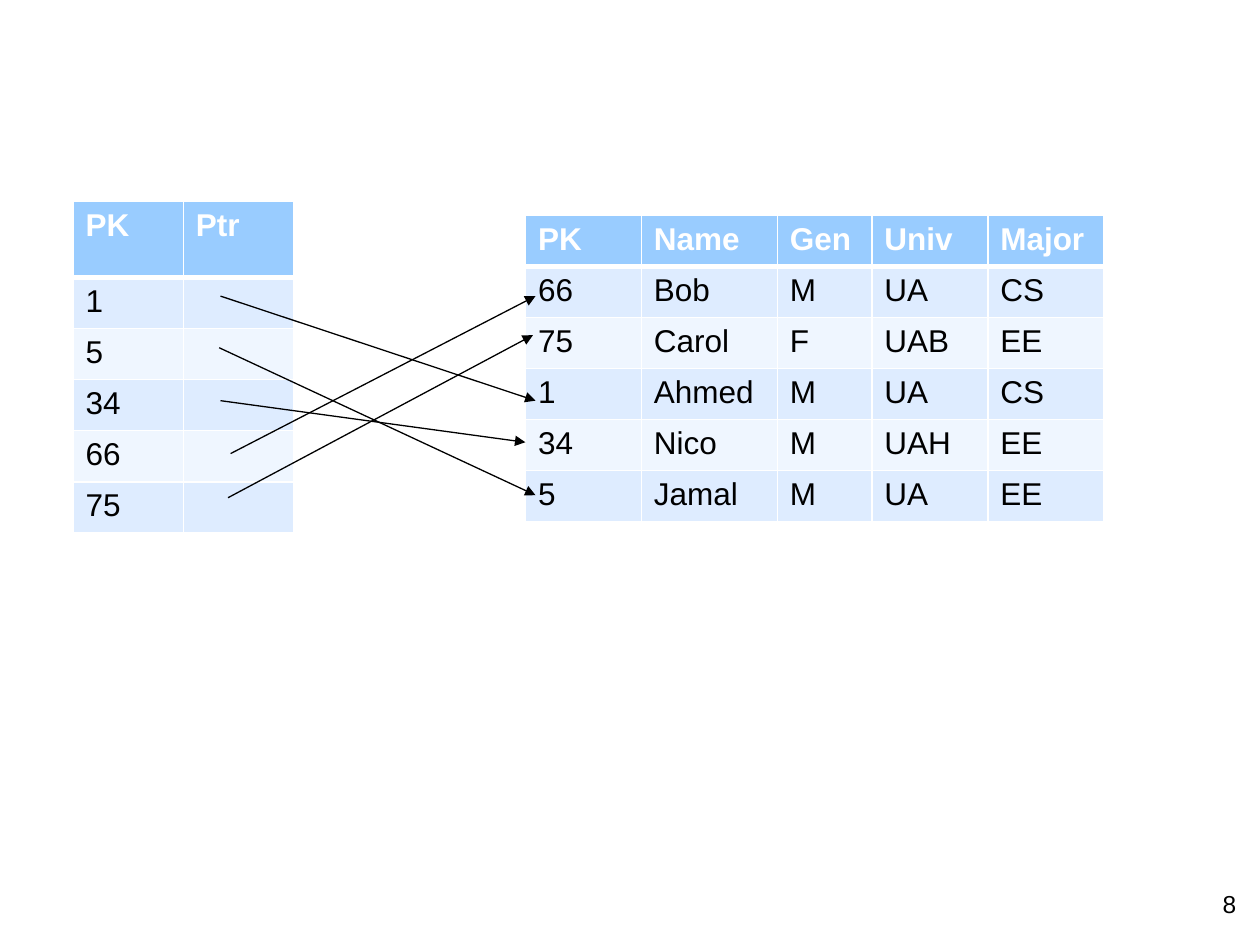
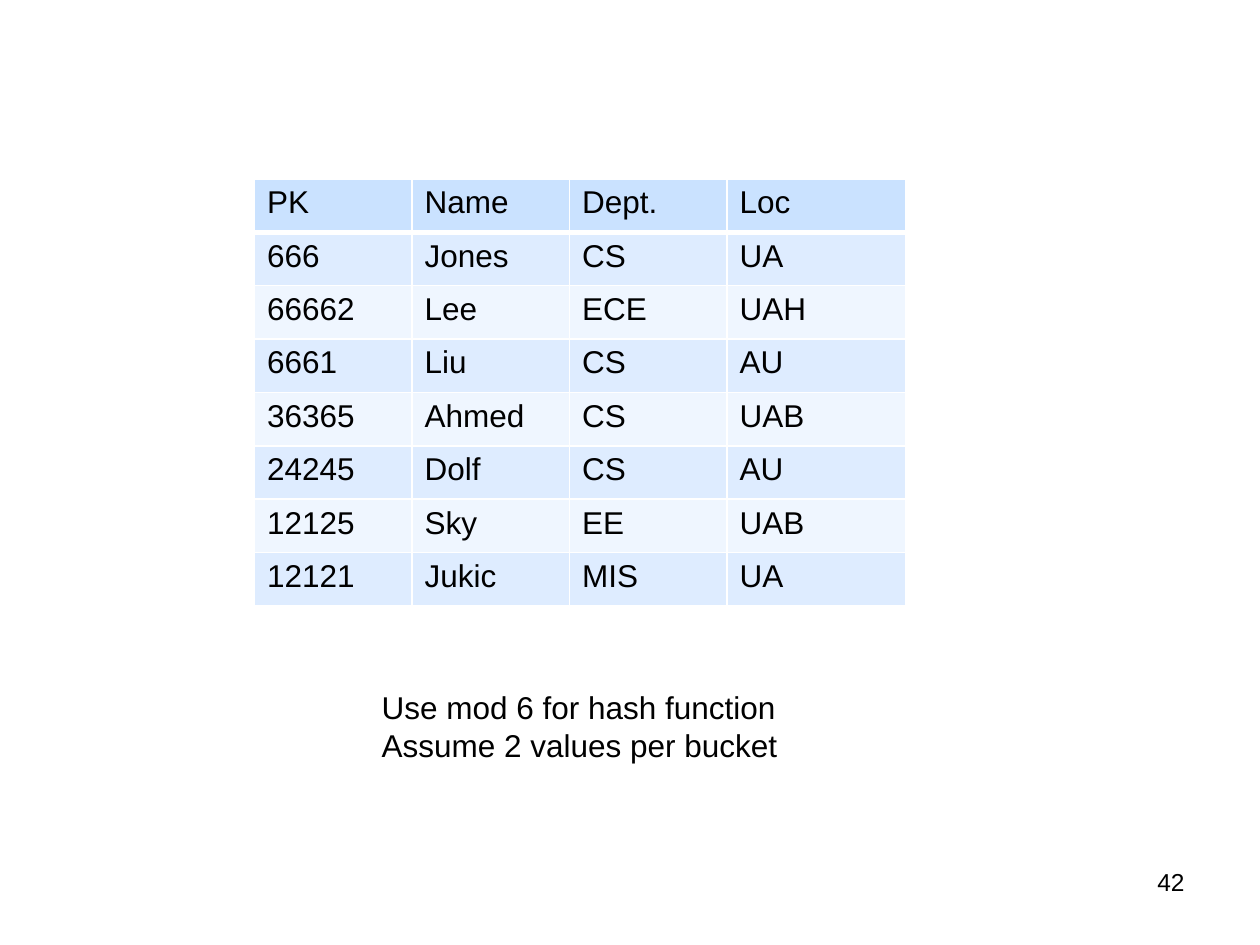
from lxml.etree import SubElement
from pptx import Presentation
from pptx.dml.color import RGBColor
from pptx.enum.shapes import MSO_CONNECTOR
from pptx.enum.text import PP_ALIGN
from pptx.oxml.ns import qn
from pptx.util import Inches, Pt

FONT = "Arial"
COLORS = {
    "text": "000000",
    "white": "FFFFFF",
    "header": "99CCFF",
    "pale header": "CAE2FF",
    "odd row": "DEECFF",
    "even row": "EFF6FF",
}

INDEX_ROWS = [("PK", "Ptr"), ("1", ""), ("5", ""), ("34", ""), ("66", ""), ("75", "")]
STUDENT_ROWS = [
    ("PK", "Name", "Gen", "Univ", "Major"),
    ("66", "Bob", "M", "UA", "CS"),
    ("75", "Carol", "F", "UAB", "EE"),
    ("1", "Ahmed", "M", "UA", "CS"),
    ("34", "Nico", "M", "UAH", "EE"),
    ("5", "Jamal", "M", "UA", "EE"),
]
# Primary key: start and end of its pointer
POINTERS = {
    "1": ((1.75, 2.35), (4.25, 3.18)),
    "5": ((1.74, 2.76), (4.25, 3.93)),
    "66": ((1.83, 3.6), (4.25, 2.35)),
    "34": ((1.75, 3.18), (4.17, 3.51)),
    "75": ((1.81, 3.95), (4.23, 2.66)),
}
STAFF_ROWS = [
    ("PK", "Name", "Dept.", "Loc"),
    ("666", "Jones", "CS", "UA"),
    ("66662", "Lee", "ECE", "UAH"),
    ("6661", "Liu", "CS", "AU"),
    ("36365", "Ahmed", "CS", "UAB"),
    ("24245", "Dolf", "CS", "AU"),
    ("12125", "Sky", "EE", "UAB"),
    ("12121", "Jukic", "MIS", "UA"),
]
HASH_NOTES = ["Use mod 6 for hash function", "Assume 2 values per bucket"]


def color(name):
    return RGBColor.from_string(COLORS[name])


def format_text(frame, size=18, ink="text", bold=False):
    for para in frame.paragraphs:
        for span in para.runs:
            span.font.name = FONT
            span.font.size = Pt(size)
            span.font.bold = bold
            span.font.color.rgb = color(ink)


def add_text(page, lines, left, top, width, height, size=18, align=PP_ALIGN.LEFT, wrap=True):
    box = page.shapes.add_textbox(Inches(left), Inches(top), Inches(width), Inches(height))
    frame = box.text_frame
    frame.word_wrap = wrap
    frame.text = "\n".join(lines)
    for para in frame.paragraphs:
        para.alignment = align
    format_text(frame, size)


def add_page_number(page, number, left, top):
    add_text(page, [number], left, top, 2.33, 0.52, size=14, align=PP_ALIGN.RIGHT)


def set_borders(cell, row):
    """Draw white rules, with a thick one under the header row."""
    widths = {"L": 1, "R": 1, "T": 3 if row == 1 else 1, "B": 3 if row == 0 else 1}
    properties = cell._tc.get_or_add_tcPr()
    for side, width in widths.items():
        line = SubElement(properties, qn(f"a:ln{side}"), w=str(Pt(width)))
        fill = SubElement(line, qn("a:solidFill"))
        SubElement(fill, qn("a:srgbClr"), val=COLORS["white"])


def add_grid(page, rows, left, top, height, widths, header_height=None,
             header_fill="header", header_ink="white", header_bold=True):
    """Add a banded table whose body rows share the height below the header."""
    header_height = header_height or height / len(rows)
    row_height = (height - header_height) / (len(rows) - 1)
    table = page.shapes.add_table(len(rows), len(widths), Inches(left), Inches(top),
                                  Inches(sum(widths)), Inches(height)).table
    for column, width in zip(table.columns, widths):
        column.width = Inches(width)
    for r, values in enumerate(rows):
        is_header = r == 0
        table.rows[r].height = Inches(header_height if is_header else row_height)
        band = header_fill if is_header else "odd row" if r % 2 else "even row"
        for c, value in enumerate(values):
            cell = table.cell(r, c)
            set_borders(cell, r)
            cell.fill.solid()
            cell.fill.fore_color.rgb = color(band)
            cell.text_frame.text = value
            format_text(cell.text_frame, ink=header_ink if is_header else "text",
                        bold=is_header and header_bold)


def add_arrow(page, start, end):
    points = [Inches(value) for value in (*start, *end)]
    arrow = page.shapes.add_connector(MSO_CONNECTOR.STRAIGHT, *points)
    arrow.line.color.rgb = color("text")
    arrow.line.width = Pt(0.75)
    SubElement(arrow.line._get_or_add_ln(), qn("a:tailEnd"), type="triangle")
    SubElement(arrow._element.spPr, qn("a:effectLst"))


def build_index_page(page):
    add_page_number(page, "8", 7.58, 7.01)
    add_grid(page, INDEX_ROWS, 0.58, 1.6, 2.63, [0.875] * 2, header_height=0.6)
    add_grid(page, STUDENT_ROWS, 4.17, 1.71, 2.43, [0.92, 1.08, 0.75, 0.92, 0.92])
    for start, end in POINTERS.values():
        add_arrow(page, start, end)


def build_hash_page(page):
    add_page_number(page, "42", 7.17, 6.83)
    add_grid(page, STAFF_ROWS, 2.02, 1.42, 3.39, [1.25, 1.25, 1.25, 1.42],
             header_fill="pale header", header_ink="text", header_bold=False)
    add_text(page, HASH_NOTES, 2.93, 5.41, 3.41, 0.71, wrap=False)


def main():
    deck = Presentation()
    deck.slide_width, deck.slide_height = Inches(10), Inches(7.5)
    blank = deck.slide_layouts[6]
    for build in (build_index_page, build_hash_page):
        build(deck.slides.add_slide(blank))
    deck.save("out.pptx")


if __name__ == "__main__":
    main()
